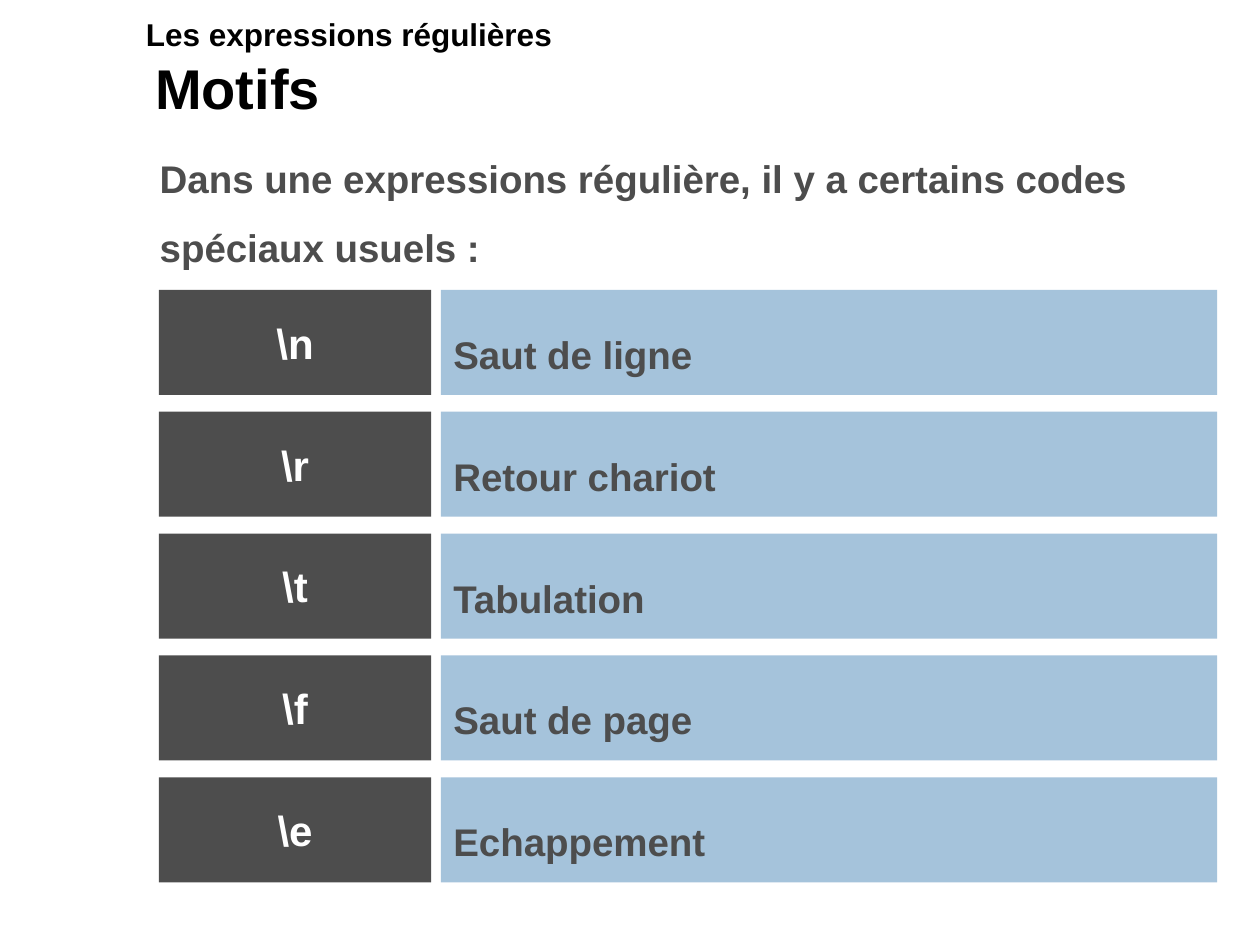
from pptx import Presentation
from pptx.dml.color import RGBColor
from pptx.enum.shapes import MSO_SHAPE
from pptx.enum.text import MSO_ANCHOR, PP_ALIGN
from pptx.util import Pt

RECTANGLE = MSO_SHAPE.RECTANGLE
TOP, MIDDLE = MSO_ANCHOR.TOP, MSO_ANCHOR.MIDDLE
LEFT, CENTER = PP_ALIGN.LEFT, PP_ALIGN.CENTER

BLACK = RGBColor(0x00, 0x00, 0x00)
WHITE = RGBColor(0xFF, 0xFF, 0xFF)
GRAY = RGBColor(0x4D, 0x4D, 0x4D)
BLUE = RGBColor(0xA5, 0xC3, 0xDB)

TITLE_ONLY = 5
ROW_TOP, ROW_PITCH, ROW_HEIGHT = 165.6, 69.65, 60
CODE_LEFT, CODE_WIDTH = 90.8, 155.6
MEANING_LEFT, MEANING_WIDTH = 252, 443.5

CODES = [
    (r"\n", "Saut de ligne"),
    (r"\r", "Retour chariot"),
    (r"\t", "Tabulation"),
    (r"\f", "Saut de page"),
    (r"\e", "Echappement"),
]


def write_text(box, text, size=22, color=GRAY, align=LEFT, anchor=TOP, line_spacing=1.0):
    frame = box.text_frame
    frame.word_wrap = True
    frame.vertical_anchor = anchor
    para = frame.paragraphs[0]
    para.alignment = align
    para.line_spacing = line_spacing
    span = para.add_run()
    span.text = text
    span.font.name = "Arial"
    span.font.size = Pt(size)
    span.font.bold = True
    span.font.color.rgb = color


def set_title(page, text, left, top, width, height):
    title = page.shapes.title
    title.left, title.top = Pt(left), Pt(top)
    title.width, title.height = Pt(width), Pt(height)
    write_text(title, text, size=32, color=BLACK, anchor=MIDDLE)


def add_text(page, text, left, top, width, height, **text_format):
    box = page.shapes.add_textbox(Pt(left), Pt(top), Pt(width), Pt(height))
    write_text(box, text, **text_format)


def add_panel(page, text, left, top, width, fill, **text_format):
    panel = page.shapes.add_shape(RECTANGLE, Pt(left), Pt(top), Pt(width), Pt(ROW_HEIGHT))
    panel.shadow.inherit = False
    panel.fill.solid()
    panel.fill.fore_color.rgb = fill
    panel.line.fill.background()
    write_text(panel, text, anchor=MIDDLE, **text_format)


def main():
    deck = Presentation()
    deck.slide_width, deck.slide_height = Pt(720), Pt(540)
    page = deck.slides.add_slide(deck.slide_layouts[TITLE_ONLY])

    # Title and introduction
    set_title(page, "Motifs", 81.4, 31.7, 608.4, 36)
    add_text(page, "Dans une expressions régulière, il y a certains codes spéciaux usuels :",
             84.2, 72, 613.4, 86.4, line_spacing=1.5)

    # One row per special code: code on the left, meaning on the right
    for row, (code, meaning) in enumerate(CODES):
        top = ROW_TOP + row * ROW_PITCH
        add_panel(page, code, CODE_LEFT, top, CODE_WIDTH, GRAY,
                  size=24, color=WHITE, align=CENTER)
        add_panel(page, meaning, MEANING_LEFT, top, MEANING_WIDTH, BLUE, line_spacing=1.5)

    # Chapter name above the title
    add_text(page, "Les expressions régulières", 76.3, -5.8, 643.7, 39.6,
             size=18, color=BLACK, line_spacing=1.5)

    deck.save("out.pptx")


if __name__ == "__main__":
    main()
